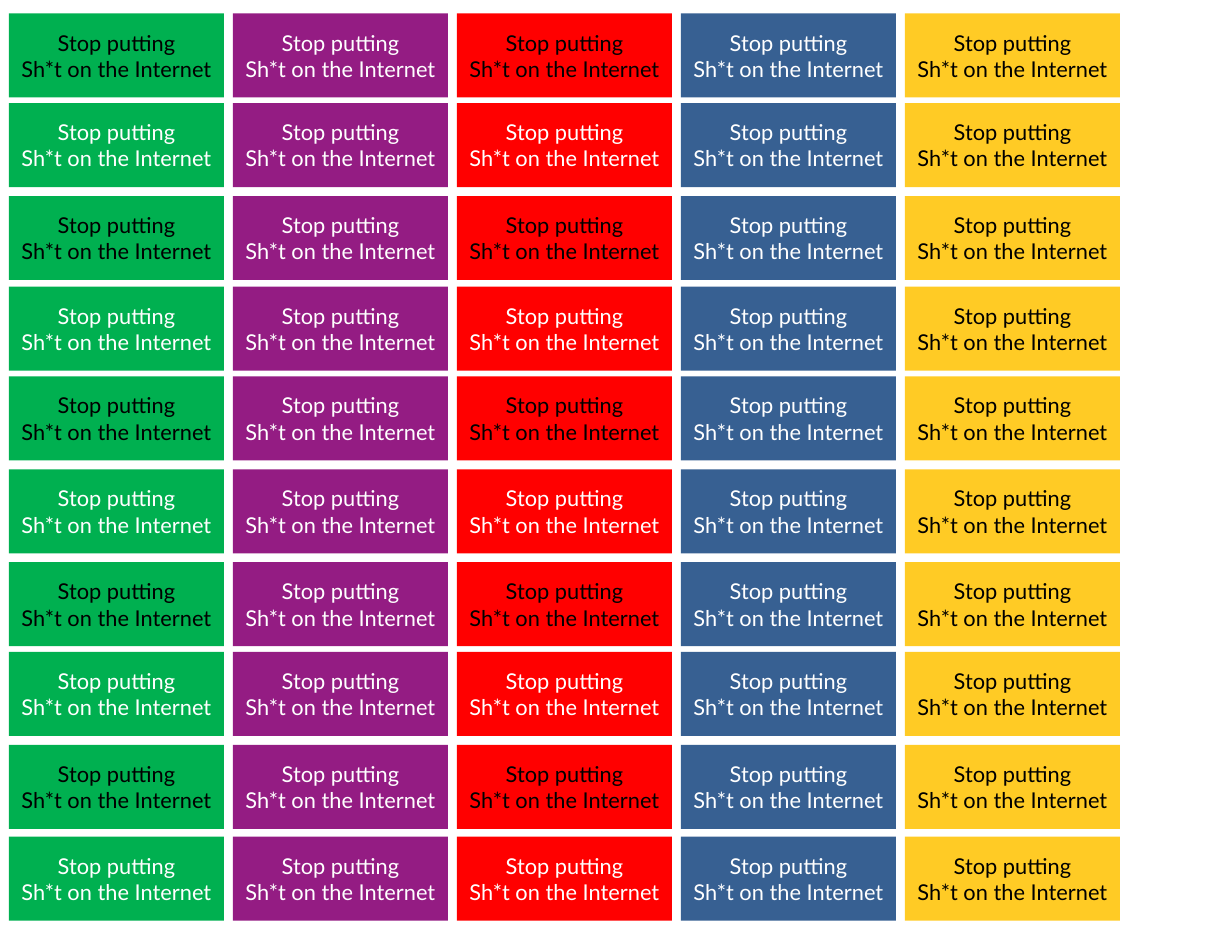
from pptx import Presentation
from pptx import util as u
from pptx.dml.color import RGBColor
from pptx.enum import shapes, text

BLACK, WHITE = "000000", "FFFFFF"
MESSAGE = ["Stop putting", "Sh*t on the Internet"]

# Sticker grid, in points
STICKER_WIDTH, STICKER_HEIGHT = 138.24, 54
FIRST_LEFT, COLUMN_PITCH = 5.76, 144
ROW_TOPS = [8.64, 66.24, 126, 184.32, 241.92, 301.68, 361.44, 419.04, 478.8, 537.84]

# Fill, then text colours of odd and even rows, from left to right
COLUMNS = [
    ("00B050", (BLACK, WHITE)),
    ("941C83", (WHITE, WHITE)),
    ("FF0000", (BLACK, WHITE)),
    ("376092", (WHITE, WHITE)),
    ("FFCB25", (BLACK, BLACK)),
]


def color(hex_code):
    return RGBColor.from_string(hex_code)


def add_sticker(slide, left, top, fill, ink):
    sticker = slide.shapes.add_shape(
        shapes.MSO_SHAPE.RECTANGLE,
        u.Pt(left), u.Pt(top), u.Pt(STICKER_WIDTH), u.Pt(STICKER_HEIGHT))
    sticker.shadow.inherit = False
    sticker.fill.solid()
    sticker.fill.fore_color.rgb = color(fill)
    sticker.line.fill.background()

    # Centred message, one paragraph per line
    frame = sticker.text_frame
    frame.word_wrap = True
    frame.vertical_anchor = text.MSO_ANCHOR.MIDDLE
    frame.text = "\n".join(MESSAGE)
    for line in frame.paragraphs:
        line.alignment = text.PP_ALIGN.CENTER
        line.font.name = "Lato"
        line.font.size = u.Pt(14)
        line.font.color.rgb = color(ink)


def main():
    deck = Presentation()
    deck.slide_width, deck.slide_height = u.Pt(792), u.Pt(612)
    slide = deck.slides.add_slide(deck.slide_layouts[6])

    # One colour per column, text colours alternating down the rows
    for column, (fill, inks) in enumerate(COLUMNS):
        left = FIRST_LEFT + column * COLUMN_PITCH
        for row, top in enumerate(ROW_TOPS):
            add_sticker(slide, left, top, fill, inks[row % 2])

    deck.save("out.pptx")


if __name__ == "__main__":
    main()
